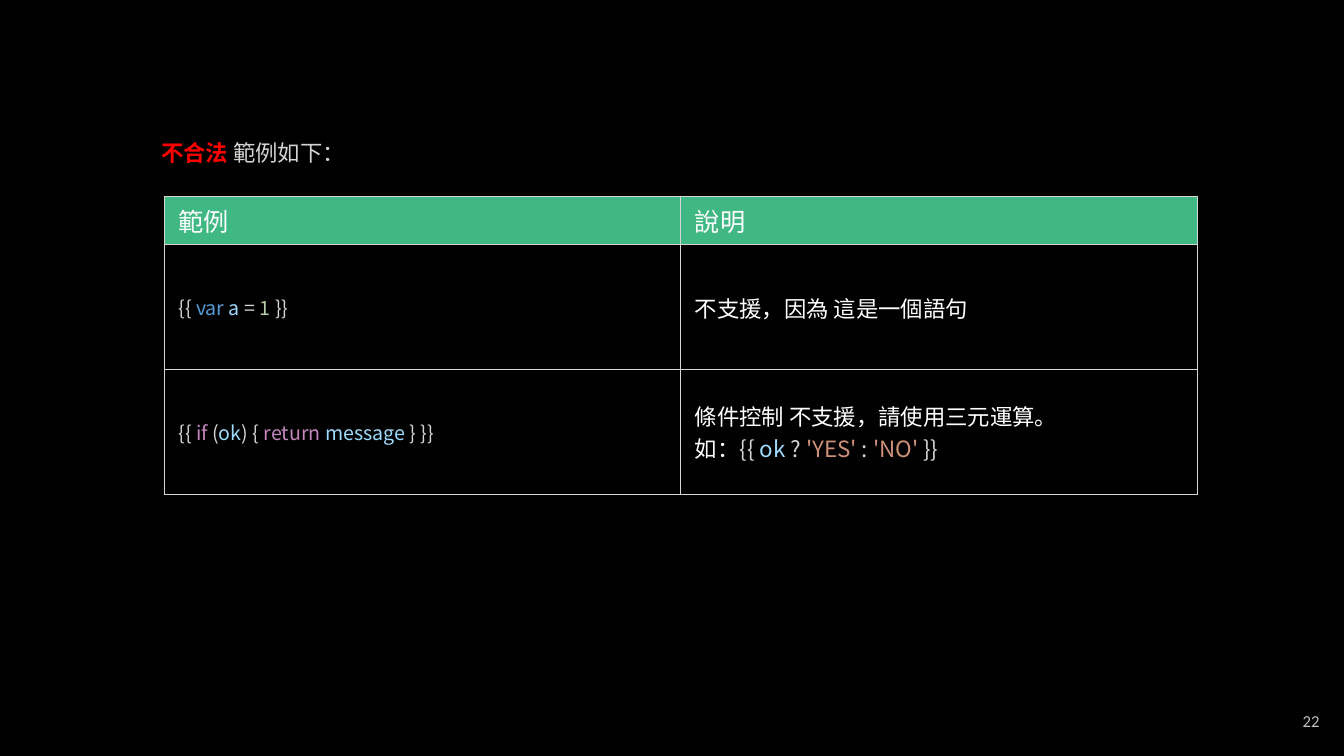
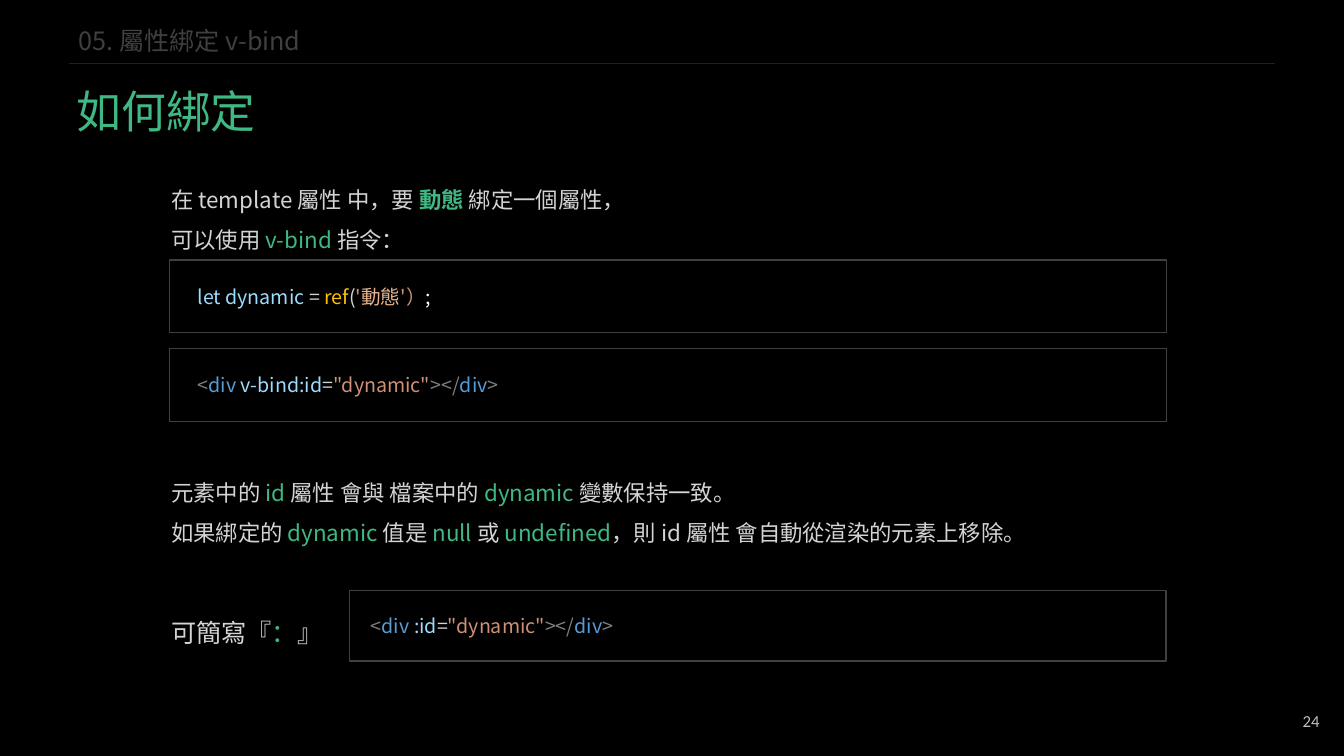
from lxml import etree
from pptx import Presentation
from pptx.dml.color import RGBColor
from pptx.enum.shapes import MSO_CONNECTOR, MSO_SHAPE
from pptx.enum.text import MSO_ANCHOR, PP_ALIGN
from pptx.oxml.ns import qn
from pptx.util import Emu, Inches, Pt

MID, TOP = MSO_ANCHOR.MIDDLE, MSO_ANCHOR.TOP
LEFT, RIGHT = PP_ALIGN.LEFT, PP_ALIGN.RIGHT
RECT, LINE = MSO_SHAPE.RECTANGLE, MSO_CONNECTOR.STRAIGHT


class Theme:
    font, digits = "Noto Sans CJK TC", "Calibri"
    page, small, body, head, title = 12, 14, 16, 18, 32
    bold = {"stop", "strong"}
    ink = {name: RGBColor.from_string(code) for name, code in {
        "back": "000000", "white": "FFFFFF", "text": "D4D4D4",
        "green": "40B883", "strong": "40B883", "stop": "FF0000",
        "dark": "404040", "page": "BFBFBF", "rule": "D6D6D6",
        "tag": "808080", "word": "569CD6", "name": "9CDCFE",
        "num": "B5CEA8", "flow": "C586C0", "str": "CE9178",
        "call": "FFC000", "warm": "E9B48B",
    }.items()}


# The grid has 160 columns and 90 rows of square units
UNIT = 76200
COLS, ROWS = 160, 90


def write(frame, lines, size, space=1.0, align=LEFT, font=Theme.font):
    """Fill a text frame; each line is a list of (ink, text) runs."""
    frame.word_wrap = True
    for i, line in enumerate(lines):
        para = frame.paragraphs[0] if i == 0 else frame.add_paragraph()
        para.alignment, para.line_spacing = align, space
        for ink, text in line:
            run = para.add_run()
            run.text = text
            style = {"size": Pt(size), "bold": ink in Theme.bold, "name": font}
            for key, value in style.items():
                setattr(run.font, key, value)
            run.font.color.rgb = Theme.ink[ink]
            east = etree.SubElement(run.font._element, qn("a:ea"))
            east.set("typeface", font)


def note(slide, area, lines, size, anchor=TOP, **look):
    """Add a text box at (column, row, columns, rows)."""
    box = slide.shapes.add_textbox(*(Emu(round(n * UNIT)) for n in area))
    box.text_frame.vertical_anchor = anchor
    write(box.text_frame, lines, size, **look)


# Deck: black master, page number on each slide
deck = Presentation()
deck.slide_width, deck.slide_height = Emu(COLS * UNIT), Emu(ROWS * UNIT)
fill = deck.slide_master.background.fill
fill.solid()
fill.fore_color.rgb = Theme.ink["back"]
blank = deck.slide_layouts[6]
slides = []
for page in ("22", "24"):
    slide = deck.slides.add_slide(blank)
    note(slide, (122.28, 83.4, 36, 4.8), [[("page", page)]], Theme.page,
         anchor=MID, align=RIGHT, font=Theme.digits)
    slides.append(slide)
wrong, bind = slides

# Slide 1: lead line
note(wrong, (18, 15.96, 30, 4.44),
     [[("stop", "不合法 "), ("text", "範例如下：")]], Theme.body)

# Slide 1: table of examples, each cell as (size, lines)
cells = [
    [(Theme.head, [[("white", "範例")]]), (Theme.head, [[("white", "說明")]])],
    [(Theme.small, [[("text", "{{ "), ("word", "var "), ("name", "a"),
                     ("text", " = "), ("num", "1"), ("text", " }}")]]),
     (Theme.body, [[("white", "不支援，因為 這是一個語句")]])],
    [(Theme.small, [[("text", "{{ "), ("flow", "if"), ("text", " ("),
                     ("name", "ok"), ("text", ") { "), ("flow", "return "),
                     ("name", "message"), ("text", " } }}")]]),
     (Theme.body, [[("white", "條件控制 不支援，請使用三元運算。")],
                   [("white", "如："), ("text", "{{ "), ("name", "ok"),
                    ("text", " ? "), ("str", "'YES'"), ("text", " : "),
                    ("str", "'NO'"), ("text", " }}")]])],
]
tall = (5.76, 14.84, 14.84)
area = (19.56, 23.4, 123, sum(tall))
table = wrong.shapes.add_table(
    len(cells), 2, *(Emu(round(n * UNIT)) for n in area)).table
table.horz_banding = False
pads = {"margin_left": 0.14, "margin_right": 0.14,
        "margin_top": 0.06, "margin_bottom": 0.06}
for r, row in enumerate(cells):
    table.rows[r].height = Emu(round(tall[r] * UNIT))
    for c, (size, lines) in enumerate(row):
        cell = table.cell(r, c)
        cell.vertical_anchor = MID
        for key, value in pads.items():
            setattr(cell, key, Inches(value))
        write(cell.text_frame, lines, size)
        if r == 0:
            cell.fill.solid()
            cell.fill.fore_color.rgb = Theme.ink["green"]
        else:
            cell.fill.background()
        # Borders come before the fill
        props = cell._tc.get_or_add_tcPr()
        for i, side in enumerate(("a:lnL", "a:lnR", "a:lnT", "a:lnB")):
            edge = etree.Element(qn(side), w=str(Pt(0.75)))
            paint = etree.SubElement(edge, qn("a:solidFill"))
            etree.SubElement(paint, qn("a:srgbClr"), val=str(Theme.ink["rule"]))
            props.insert(i, edge)

# Slide 2: chapter mark, rule and title
note(bind, (8.16, 2.64, 33.48, 4.56), [[("dark", "05. 屬性綁定 v-bind")]],
     Theme.head, space=Pt(20))
ends = (8.16, 7.56, 151.8, 7.56)
rule = bind.shapes.add_connector(LINE, *(Emu(round(n * UNIT)) for n in ends))
rule.line.width = Pt(0.5)
rule.line.color.rgb = Theme.ink["dark"]
tint = rule._element.spPr.find(".//" + qn("a:srgbClr"))
etree.SubElement(tint, qn("a:alpha"), val="50000")
etree.SubElement(rule._element.spPr, qn("a:effectLst"))
note(bind, (7.92, 6.12, 128.16, 9.72), [[("green", "如何綁定")]],
     Theme.title, space=1.5)

# Slide 2: running text
edge = 19.2
texts = [
    (19.92, 96, 10.32, Theme.body, [
        [("text", "在 template 屬性 中，要 "), ("strong", "動態"),
         ("text", " 綁定一個屬性，")],
        [("text", "可以使用 "), ("green", "v-bind "), ("text", "指令：")]]),
    (54.84, 127.68, 10.32, Theme.body, [
        [("text", "元素中的 "), ("green", "id "), ("text", "屬性 會與 檔案中的 "),
         ("green", "dynamic "), ("text", "變數保持一致。")],
        [("text", "如果綁定的 "), ("green", "dynamic "), ("text", "值是 "),
         ("green", "null "), ("text", "或 "), ("green", "undefined"),
         ("text", "，則 id 屬性 會自動從渲染的元素上移除。")]]),
    (71.16, 22, 6, Theme.head, [
        [("text", "可簡寫『"), ("green", "："), ("text", "』")]]),
]
for top, wide, high, size, lines in texts:
    note(bind, (edge, top, wide, high), lines, size, space=1.5)

# Slide 2: code boxes, all ending at the same column
end = 138.84
full, short = [
    [("tag", "<"), ("word", "div "), ("name", attr), ("text", "="),
     ("str", '"dynamic"'), ("tag", "></"), ("word", "div"), ("tag", ">")]
    for attr in ("v-bind:id", ":id")]
script = [("name", "let dynamic"), ("text", " = "), ("call", "ref"),
          ("text", "("), ("str", "'"), ("warm", "動態"), ("str", "'）"),
          ("white", ";")]
codes = [(20.16, 30.96, 8.64, 0.28, script),
         (20.16, 41.52, 8.64, 0.28, full),
         (41.64, 70.32, 8.4, 0.21, short)]
for left, top, high, pad, line in codes:
    area = (left, top, end - left, high)
    box = bind.shapes.add_shape(RECT, *(Emu(round(n * UNIT)) for n in area))
    box.shadow.inherit = False
    box.fill.background()
    box.line.color.rgb = Theme.ink["dark"]
    box.line.width = Pt(1)
    box.text_frame.vertical_anchor = MID
    box.text_frame.margin_left = Inches(pad)
    write(box.text_frame, [line], Theme.small)

deck.save("out.pptx")
